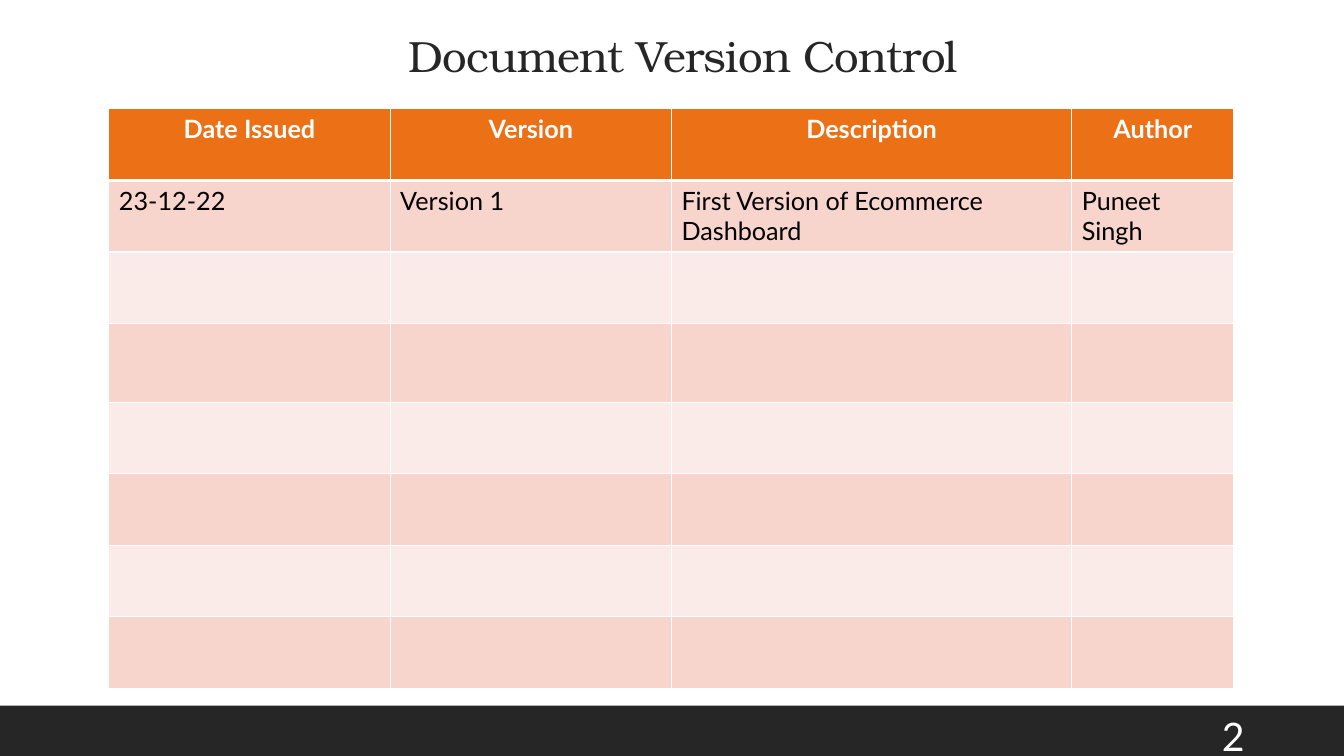
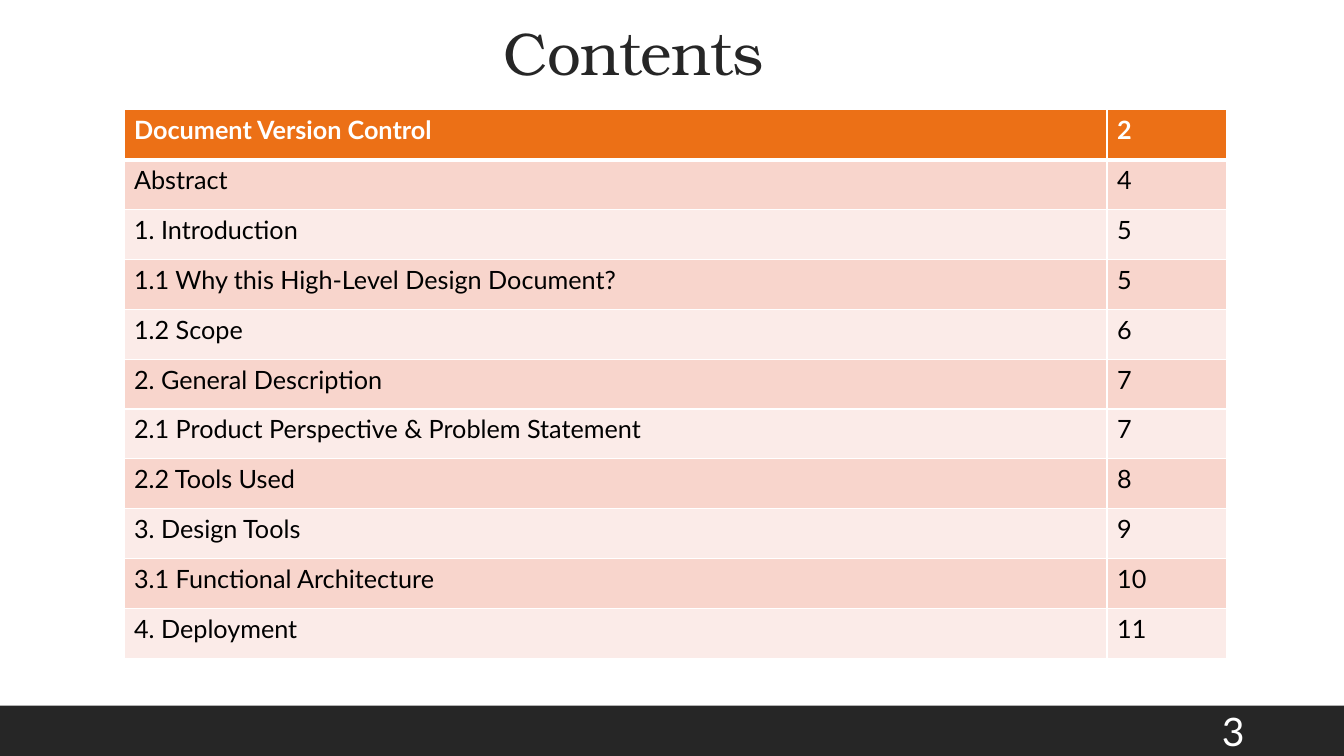
from dataclasses import dataclass

from lxml import etree
from pptx import Presentation
from pptx.dml.color import RGBColor
from pptx.enum.shapes import MSO_SHAPE as SHAPE
from pptx.enum.text import MSO_ANCHOR as ANCHOR, PP_ALIGN as ALIGN
from pptx.oxml.ns import qn
from pptx.util import Inches, Pt


@dataclass(frozen=True)
class Theme:
    dark: str = "262626"
    white: str = "FFFFFF"
    black: str = "000000"
    header: str = "EC7016"
    bands: tuple = ("F8D5CC", "FBEBE8")
    title_font: str = "TeX Gyre Bonum"
    body_font: str = "Lato"
    cell_size: float = 18
    number_size: float = 28
    thin: float = 1
    thick: float = 3


theme = Theme()


def set_text(p, text, font, size, color, bold=False, align=ALIGN.LEFT):
    if text:
        p.add_run().text = text
    p.alignment = align
    p.font.name, p.font.size, p.font.bold = font, Pt(size), bold
    p.font.color.rgb = RGBColor.from_string(color)


def set_borders(cell, top, bottom):
    tc_pr = cell._tc.get_or_add_tcPr()
    widths = {"a:lnL": theme.thin, "a:lnR": theme.thin, "a:lnT": top, "a:lnB": bottom}
    for tag, width in widths.items():
        ln = etree.SubElement(tc_pr, qn(tag), w=str(Pt(width)))
        fill = etree.SubElement(ln, qn("a:solidFill"))
        etree.SubElement(fill, qn("a:srgbClr"), val=theme.white)


# Content of the slides
pages = [
    dict(
        number="2", number_box=(12.02, 7.05, 0.92, 0.5),
        title="Document Version Control", title_size=31.2,
        title_box=(1.19, 0.26, 11.17, 0.6),
        origin=(1.08, 1.08), cols=[2.79, 2.79, 3.97, 1.61],
        heights=[0.71] * 3 + [0.78] + [0.71] * 4, header_align=ALIGN.CENTER,
        rows=[
            ("Date Issued", "Version", "Description", "Author"),
            ("23-12-22", "Version 1", "First Version of Ecommerce Dashboard", "Puneet Singh"),
        ] + [("",) * 4] * 6,
    ),
    dict(
        number="3", number_box=(12.02, 7.05, 0.85, 0.4),
        title="Contents", title_size=42.9,
        title_box=(3.51, -0.02, 5.55, 0.95),
        origin=(1.23, 1.09), cols=[9.75, 1.19],
        heights=[5.44 / 11] * 11, header_align=ALIGN.LEFT,
        rows=[
            ("Document Version Control", "2"),
            ("Abstract", "4"),
            ("1. Introduction", "5"),
            ("1.1 Why this High-Level Design Document?", "5"),
            ("1.2 Scope", "6"),
            ("2. General Description", "7"),
            ("2.1 Product Perspective & Problem Statement", "7"),
            ("2.2 Tools Used", "8"),
            ("3. Design Tools", "9"),
            ("3.1 Functional Architecture", "10"),
            ("4. Deployment", "11"),
        ],
    ),
]

prs = Presentation()
prs.slide_width, prs.slide_height = Inches(13.33), Inches(7.5)

for page in pages:
    s = prs.slides.add_slide(prs.slide_layouts[6])

    # Footer band
    band = s.shapes.add_shape(SHAPE.RECTANGLE, 0, Inches(7), prs.slide_width, Inches(0.5))
    band.shadow.inherit = False
    band.fill.solid()
    band.fill.fore_color.rgb = RGBColor.from_string(theme.dark)
    band.line.fill.background()

    # Title
    tf = s.shapes.add_textbox(*map(Inches, page["title_box"])).text_frame
    tf.word_wrap, tf.vertical_anchor = True, ANCHOR.BOTTOM
    p = tf.paragraphs[0]
    set_text(p, page["title"], theme.title_font, page["title_size"], theme.dark,
             align=ALIGN.CENTER)
    p.line_spacing = 0.9
    p.runs[0].font._element.set("spc", "-50")

    # Page number
    tf = s.shapes.add_textbox(*map(Inches, page["number_box"])).text_frame
    tf.word_wrap, tf.vertical_anchor = True, ANCHOR.MIDDLE
    set_text(tf.paragraphs[0], page["number"], theme.body_font, theme.number_size, theme.white)

    # Table
    cols, heights, rows = page["cols"], page["heights"], page["rows"]
    left, top = page["origin"]
    table = s.shapes.add_table(len(rows), len(cols), Inches(left), Inches(top),
                               Inches(sum(cols)), Inches(sum(heights))).table
    for col, width in zip(table.columns, cols):
        col.width = Inches(width)
    for i, (row, height, texts) in enumerate(zip(table.rows, heights, rows)):
        row.height = Inches(height)
        is_header = i == 0
        fill = theme.header if is_header else theme.bands[(i - 1) % 2]
        for cell, text in zip(row.cells, texts):
            set_borders(cell, theme.thick if i == 1 else theme.thin,
                        theme.thick if is_header else theme.thin)
            cell.fill.solid()
            cell.fill.fore_color.rgb = RGBColor.from_string(fill)
            set_text(cell.text_frame.paragraphs[0], text, theme.body_font, theme.cell_size,
                     theme.white if is_header else theme.black, is_header,
                     page["header_align"] if is_header else ALIGN.LEFT)

prs.save("out.pptx")
